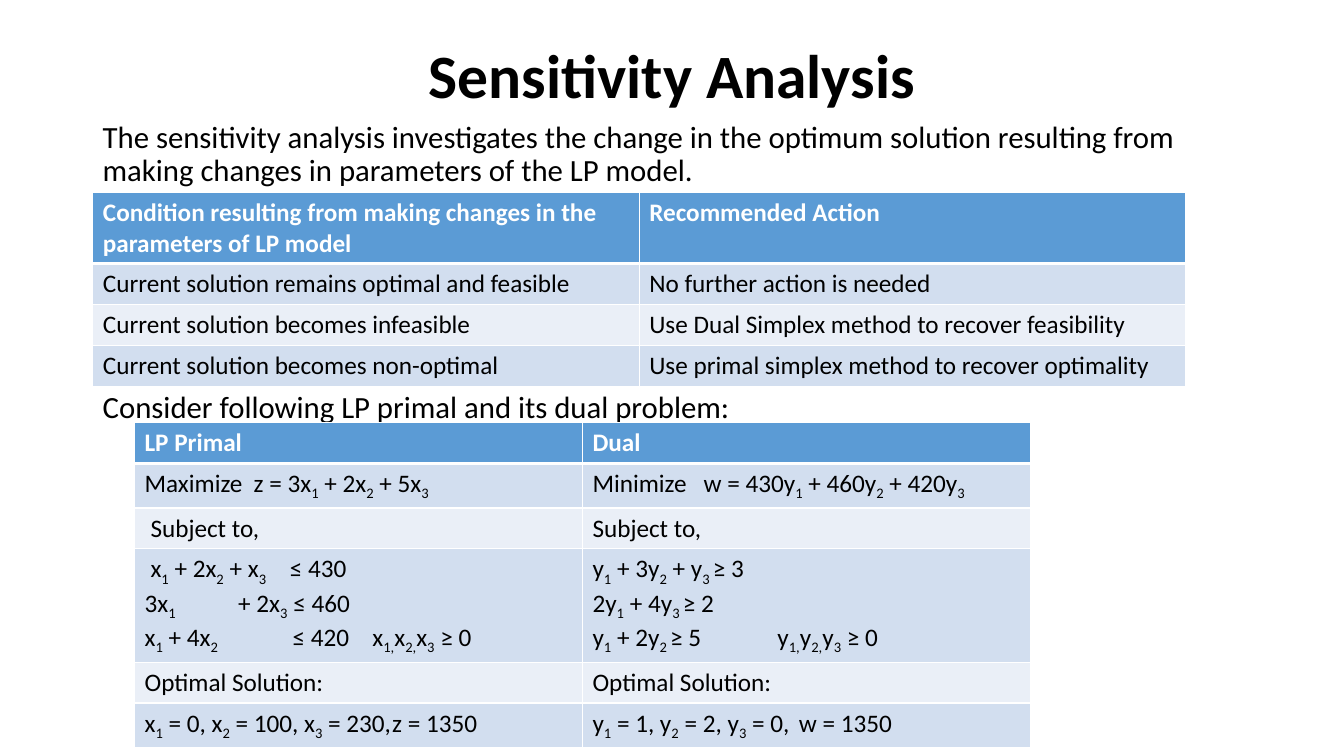
from dataclasses import dataclass
from lxml.etree import SubElement
from pptx import Presentation
from pptx.dml.color import RGBColor
from pptx.enum.text import MSO_ANCHOR, MSO_AUTO_SIZE, PP_ALIGN
from pptx.oxml.ns import qn
from pptx.util import Cm, Pt


@dataclass(frozen=True)
class Theme:
    font: str = "Calibri"
    title_size: int = 44
    body_size: int = 22
    table_size: int = 18
    ink: str = "000000"
    paper: str = "FFFFFF"
    header: str = "5B9BD5"
    bands: tuple = ("D2DEEF", "EAEFF7")
    rule: float = 1
    header_rule: float = 3


@dataclass(frozen=True)
class Line:
    """Text with _subscripts_ and tab stops in centimetres."""
    text: str
    stops: tuple = ()


THEME = Theme()
LEFT = 2.34
CONTENT_WIDTH = 29.21

ACTIONS = [
    ("Condition resulting from making changes in the parameters of LP model",
     "Recommended Action"),
    ("Current solution remains optimal and feasible", "No further action is needed"),
    ("Current solution becomes infeasible",
     "Use Dual Simplex method to recover feasibility"),
    ("Current solution becomes non-optimal",
     "Use primal simplex method to recover optimality"),
]

PRIMAL_CONSTRAINTS = [
    Line("\tx_1_ + 2x_2_ + x_3_\t≤ 430", (0.15, 3.66)),
    Line("3x_1_\t+ 2x_3_ ≤ 460", (2.36,)),
    Line("x_1_ + 4x_2_\t≤ 420\tx_1,_x_2,_x_3_ ≥ 0", (3.73, 5.74)),
]
DUAL_CONSTRAINTS = [
    Line("y_1_ + 3y_2_ + y_3 _≥ 3"),
    Line("2y_1_ + 4y_3 _≥ 2"),
    Line("y_1_ + 2y_2 _≥ 5\ty_1,_y_2,_y_3_ ≥ 0", (4.66,)),
]
PROBLEMS = [
    ("LP Primal", "Dual"),
    (Line("Maximize\tz = 3x_1_ + 2x_2_ + 5x_3_", (2.75,)),
     Line("Minimize\tw = 430y_1_ + 460y_2_ + 420y_3_", (2.8,))),
    (Line("\tSubject to,", (0.15,)), "Subject to,"),
    (PRIMAL_CONSTRAINTS, DUAL_CONSTRAINTS),
    ("Optimal Solution:", "Optimal Solution:"),
    (Line("x_1_ = 0, x_2_ = 100, x_3_ = 230,\tz = 1350", (6.24,)),
     Line("y_1_ = 1, y_2_ = 2, y_3_ = 0,\tw = 1350", (5.2,))),
]


def style_run(run, size, color=THEME.ink, bold=False):
    run.font.name = THEME.font
    run.font.size = Pt(size)
    run.font.bold = bold
    run.font.color.rgb = RGBColor.from_string(color)


def set_title(slide, text):
    title = slide.shapes.title
    title.left, title.top = Cm(LEFT), Cm(1.02)
    title.width, title.height = Cm(CONTENT_WIDTH), Cm(1.93)
    frame = title.text_frame
    frame.text = text
    frame.auto_size = MSO_AUTO_SIZE.NONE
    frame.vertical_anchor = MSO_ANCHOR.MIDDLE
    heading = frame.paragraphs[0]
    heading.alignment = PP_ALIGN.CENTER
    heading.line_spacing = 0.9
    style_run(heading.runs[0], THEME.title_size, bold=True)


def add_statement(slide, text, top, height):
    frame = slide.shapes.add_textbox(
        Cm(LEFT), Cm(top), Cm(CONTENT_WIDTH), Cm(height)).text_frame
    frame.word_wrap = True
    frame.text = text
    statement = frame.paragraphs[0]
    statement.line_spacing = 0.9
    style_run(statement.runs[0], THEME.body_size)


def write_line(paragraph, line, color, bold):
    if line.stops:
        tabs = SubElement(paragraph._p.get_or_add_pPr(), qn("a:tabLst"))
        for stop in line.stops:
            SubElement(tabs, qn("a:tab"), pos=str(Cm(stop)), algn="l")
    # Every second piece between underscores is a subscript
    for index, piece in enumerate(line.text.split("_")):
        if piece:
            run = paragraph.add_run()
            run.text = piece
            style_run(run, THEME.table_size, color, bold)
            if index % 2:
                run.font._element.set("baseline", "-25000")


def set_borders(cell, widths):
    properties = cell._tc.get_or_add_tcPr()
    for position, (side, width) in enumerate(widths.items()):
        border = SubElement(properties, qn(f"a:ln{side}"), w=str(Pt(width)))
        fill = SubElement(border, qn("a:solidFill"))
        SubElement(fill, qn("a:srgbClr"), val=THEME.paper)
        properties.insert(position, border)


def fill_cell(cell, content, row):
    is_header = row == 0
    cell.fill.solid()
    cell.fill.fore_color.rgb = RGBColor.from_string(
        THEME.header if is_header else THEME.bands[(row - 1) % 2])
    top = THEME.header_rule if row == 1 else THEME.rule
    bottom = THEME.header_rule if is_header else THEME.rule
    set_borders(cell, {"L": THEME.rule, "R": THEME.rule, "T": top, "B": bottom})

    lines = content if isinstance(content, list) else [content]
    frame = cell.text_frame
    for index, line in enumerate(lines):
        paragraph = frame.add_paragraph() if index else frame.paragraphs[0]
        write_line(paragraph, line if isinstance(line, Line) else Line(line),
                   THEME.paper if is_header else THEME.ink, is_header)


def add_grid(slide, rows, left, top, column_width, row_heights):
    columns = len(rows[0])
    grid = slide.shapes.add_table(
        len(rows), columns, Cm(left), Cm(top),
        Cm(column_width * columns), Cm(sum(row_heights))).table
    for column in grid.columns:
        column.width = Cm(column_width)
    for row, (contents, height) in enumerate(zip(rows, row_heights)):
        grid.rows[row].height = Cm(height)
        for column, content in enumerate(contents):
            fill_cell(grid.cell(row, column), content, row)


def main():
    deck = Presentation()
    deck.slide_width, deck.slide_height = Cm(33.87), Cm(19.05)
    slide = deck.slides.add_slide(deck.slide_layouts.get_by_name("Title Only"))

    # Heading and statements
    set_title(slide, "Sensitivity Analysis")
    add_statement(slide, "The sensitivity analysis investigates the change in the "
                  "optimum solution resulting from making changes in parameters "
                  "of the LP model.", 2.95, 1.95)
    add_statement(slide, "Consider following LP primal and its dual problem:",
                  9.75, 1.1)

    # Conditions with their actions, then the worked problem pair
    add_grid(slide, ACTIONS, LEFT, 4.86, 13.77, [1.78, 1.03, 1.03, 1.03])
    add_grid(slide, PROBLEMS, 3.39, 10.65, 11.29,
             [1.03, 1.1, 1.03, 2.83, 1.03, 1.1])

    deck.save("out.pptx")


if __name__ == "__main__":
    main()
